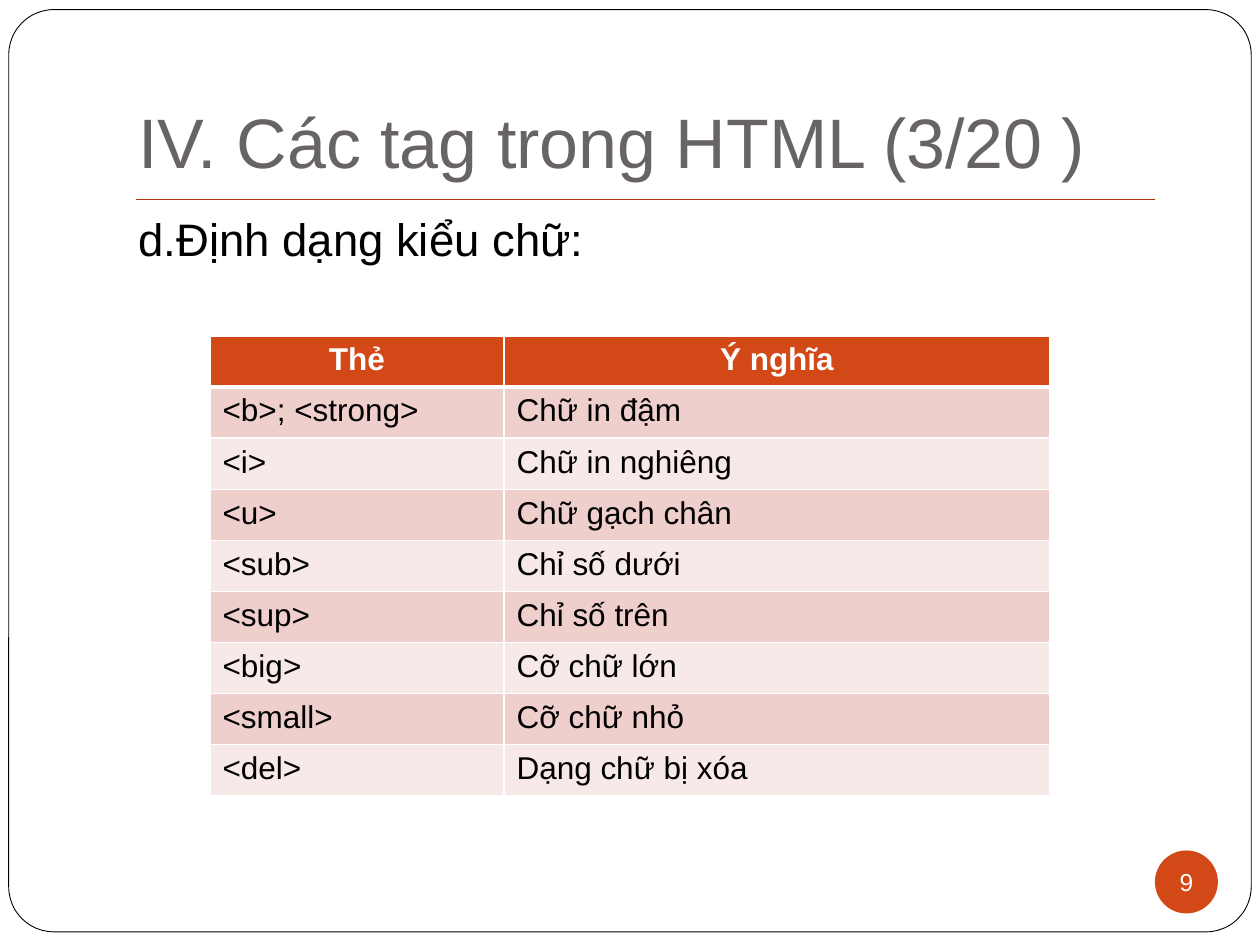
from dataclasses import dataclass

import lxml.etree
import pptx
import pptx.dml.color
import pptx.enum.shapes
import pptx.enum.text
import pptx.oxml.ns
import pptx.util

Pt = pptx.util.Pt
Shape = pptx.enum.shapes.MSO_SHAPE
Align = pptx.enum.text.PP_ALIGN
Anchor = pptx.enum.text.MSO_ANCHOR
qn = pptx.oxml.ns.qn

ORANGE, WHITE, BLACK = "D34817", "FFFFFF", "000000"
BANDS = ("EFCFCC", "F7E9E8")


@dataclass(frozen=True)
class Box:
    left: float
    top: float
    width: float
    height: float

    def place(self) -> tuple:
        return Pt(self.left), Pt(self.top), Pt(self.width), Pt(self.height)


@dataclass(frozen=True)
class Style:
    size: float
    color: str
    bold: bool = False
    align: Align = Align.LEFT


@dataclass(frozen=True)
class Tag:
    name: str
    sense: str


TAGS = (
    Tag("<b>; <strong>", "Chữ in đậm"),
    Tag("<i>", "Chữ in nghiêng"),
    Tag("<u>", "Chữ gạch chân"),
    Tag("<sub>", "Chỉ số dưới"),
    Tag("<sup>", "Chỉ số trên"),
    Tag("<big>", "Cỡ chữ lớn"),
    Tag("<small>", "Cỡ chữ nhỏ"),
    Tag("<del>", "Dạng chữ bị xóa"),
)
HEAD = Style(18, WHITE, True, Align.CENTER)
CELL = Style(18, BLACK)


def color(code: str) -> pptx.dml.color.RGBColor:
    return pptx.dml.color.RGBColor.from_string(code)


def paint(fill, code: str) -> None:
    fill.solid()
    fill.fore_color.rgb = color(code)


def write(frame, text: str, style: Style) -> None:
    para = frame.paragraphs[0]
    para.alignment = style.align
    run = para.add_run()
    run.text = text
    run.font.name = "Arial"
    run.font.size = Pt(style.size)
    run.font.bold = style.bold
    run.font.color.rgb = color(style.color)


def inset(frame, left: float, top: float, right: float, base: float) -> None:
    frame.margin_left, frame.margin_top = Pt(left), Pt(top)
    frame.margin_right, frame.margin_bottom = Pt(right), Pt(base)


def add_shape(slide, kind: Shape, box: Box, fill: str):
    shape = slide.shapes.add_shape(kind, *box.place())
    shape.shadow.inherit = False
    paint(shape.fill, fill)
    shape.line.fill.background()
    return shape


def add_text(slide, box: Box, text: str, style: Style, anchor: Anchor):
    frame = slide.shapes.add_textbox(*box.place()).text_frame
    frame.word_wrap = True
    frame.vertical_anchor = anchor
    write(frame, text, style)
    return frame


def add_rule(slide, left: float, right: float, top: float) -> None:
    rule = slide.shapes.add_connector(
        pptx.enum.shapes.MSO_CONNECTOR.STRAIGHT,
        Pt(left), Pt(top), Pt(right), Pt(top))
    rule.line.color.rgb = color("B1360B")
    rule.line.width = Pt(0.75)
    props = rule.element.find(qn("p:spPr"))
    lxml.etree.SubElement(props, qn("a:effectLst"))


def edge(cell, side: str, width: float) -> None:
    props = cell._tc.get_or_add_tcPr()
    line = lxml.etree.SubElement(props, qn(f"a:ln{side}"), w=str(int(Pt(width))))
    fill = lxml.etree.SubElement(line, qn("a:solidFill"))
    lxml.etree.SubElement(fill, qn("a:srgbClr"), val=WHITE)


def add_cell(cell, text: str, style: Style, fill: str,
             top: float, base: float) -> None:
    for side, width in (("L", 1), ("R", 1), ("T", top), ("B", base)):
        edge(cell, side, width)
    paint(cell.fill, fill)
    write(cell.text_frame, text, style)


def add_table(slide, box: Box, widths: tuple[float, ...]) -> None:
    rows = (Tag("Thẻ", "Ý nghĩa"),) + TAGS
    table = slide.shapes.add_table(len(rows), len(widths), *box.place()).table
    for col, width in zip(table.columns, widths):
        col.width = Pt(width)
    for num, tag in enumerate(rows):
        table.rows[num].height = Pt(box.height / len(rows))
        style = CELL if num else HEAD
        fill = BANDS[(num - 1) % 2] if num else ORANGE
        top = 3 if num == 1 else 1
        base = 1 if num else 3
        for col, text in enumerate((tag.name, tag.sense)):
            add_cell(table.cell(num, col), text, style, fill, top, base)


def main() -> None:
    deck = pptx.Presentation()
    deck.slide_width, deck.slide_height = Pt(720), Pt(540)
    slide = deck.slides.add_slide(deck.slide_layouts[6])

    frame = add_shape(slide, Shape.ROUNDED_RECTANGLE,
                      Box(5, 5.5, 710, 527), WHITE)
    frame.adjustments[0] = 0.049
    frame.line.color.rgb = color(BLACK)
    frame.line.width = Pt(0.5)
    add_rule(slide, 78, 660, 114)

    title = add_text(slide, Box(72, 21.6, 612, 90),
                     "IV. Các tag trong HTML (3/20 )",
                     Style(40, "696464"), Anchor.BOTTOM)
    inset(title, 7.2, 3.6, 7.2, 7.2)

    badge = add_shape(slide, Shape.OVAL, Box(660, 486, 36, 36), ORANGE)
    label = badge.text_frame
    label.word_wrap = False
    label.vertical_anchor = Anchor.MIDDLE
    inset(label, 0, 0, 0, 0)
    write(label, "9", Style(14, WHITE, align=Align.CENTER))

    body = add_text(slide, Box(72, 114, 612, 360), "d.Định dạng kiểu chữ:",
                    Style(26, BLACK), Anchor.TOP)
    inset(body, 7.2, 6.5, 7.2, 3.6)

    add_table(slide, Box(120, 192, 480, 262.8), (168, 312))
    deck.save("out.pptx")


if __name__ == "__main__":
    main()
